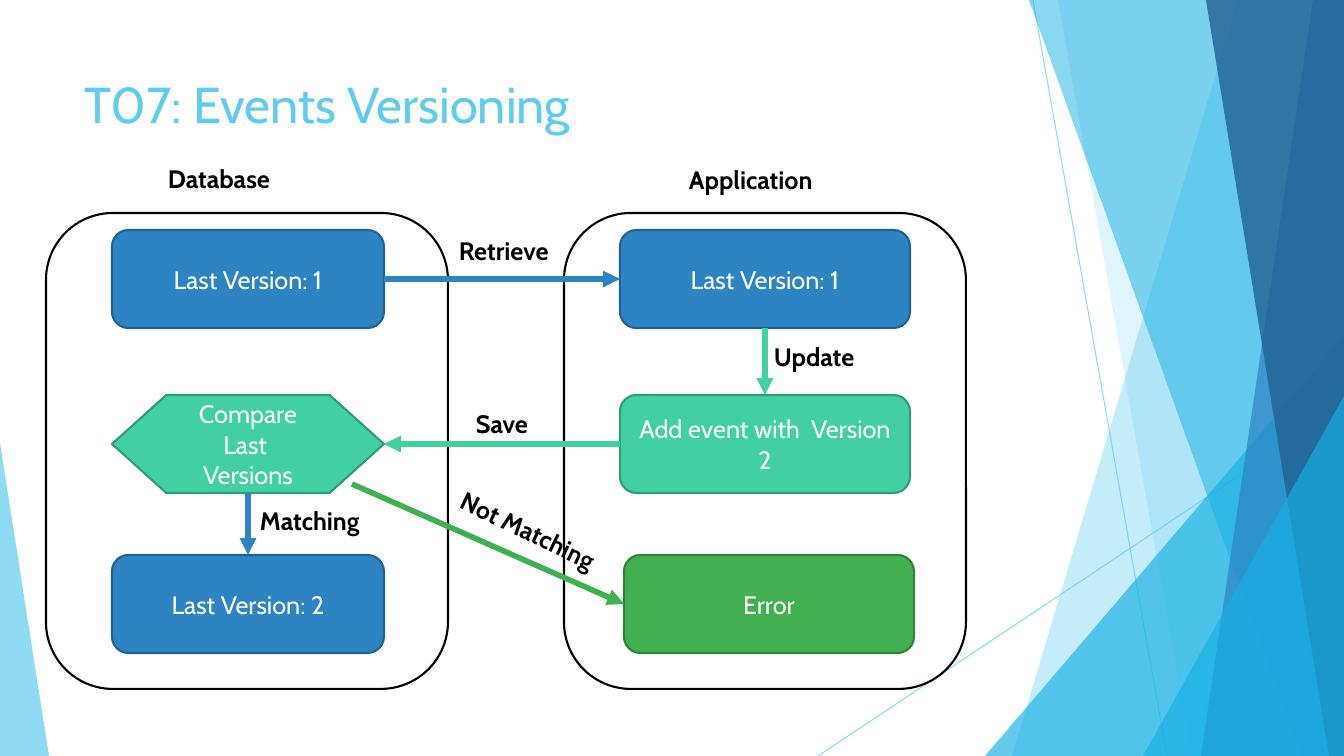
from lxml.etree import SubElement
from pptx import Presentation
from pptx.dml.color import RGBColor
from pptx.enum.shapes import MSO_CONNECTOR, MSO_SHAPE
from pptx.enum.text import MSO_ANCHOR, MSO_AUTO_SIZE, PP_ALIGN
from pptx.oxml.ns import qn
from pptx.util import Pt

# Colours
SKY = RGBColor(0x5F, 0xCB, 0xEF)
CYAN = RGBColor(0x17, 0xB0, 0xE4)
BLUE = RGBColor(0x2E, 0x83, 0xC3)
NAVY = RGBColor(0x22, 0x62, 0x92)
BLUE_EDGE = RGBColor(0x22, 0x61, 0x90)
MINT = RGBColor(0x42, 0xD0, 0xA2)
MINT_EDGE = RGBColor(0x31, 0x9A, 0x78)
GREEN = RGBColor(0x42, 0xB0, 0x51)
GREEN_EDGE = RGBColor(0x31, 0x82, 0x3C)
BLACK = RGBColor(0, 0, 0)
WHITE = RGBColor(255, 255, 255)
FONT = "Cabin"

# Content, lengths in px
WIDTH, HEIGHT = 1344, 756
TITLE = ("T07: Events Versioning", (75, 68, 948, 145))
RAYS = [((1033, 0), (1167, HEIGHT)), ((WIDTH, 406), (818, HEIGHT))]
# Bands run from a top x and a bottom x to the right edge; wedges are triangles
FACETS = [
    ("band", (1238, 1012), SKY, 36),
    ("band", (1058, 1192), SKY, 20),
    ("wedge", (985, 336, 359, 420), CYAN, 66),
    ("band", (1029, 1301), CYAN, 50),
    ("band", (1313, 1201), BLUE, 70),
    ("band", (1206, 1329), NAVY, 80),
    ("wedge", (1143, 396, 201, 360), CYAN, 66),
    ("wedge", (0, 443, 49, 313), SKY, 70),
]
LANES = [46, 564]
LANE_TOP, LANE_WIDTH, LANE_HEIGHT = 213, 402, 476
ROWS, NODE_HEIGHT = [230, 395, 555], 98
DATABASE, APPLICATION, ERROR = (112, 272), (620, 290), (624, 290)
ROUNDED, HEXAGON = MSO_SHAPE.ROUNDED_RECTANGLE, MSO_SHAPE.FLOWCHART_PREPARATION
NODES = {
    "stored": ("Last Version: 1", DATABASE, 0, ROUNDED, BLUE, BLUE_EDGE),
    "loaded": ("Last Version: 1", APPLICATION, 0, ROUNDED, BLUE, BLUE_EDGE),
    "added": ("Add event with  Version 2", APPLICATION, 1, ROUNDED, MINT, MINT_EDGE),
    "compare": ("Compare Last  Versions", DATABASE, 1, HEXAGON, MINT, MINT_EDGE),
    "error": ("Error", ERROR, 2, ROUNDED, GREEN, GREEN_EDGE),
    "saved": ("Last Version: 2", DATABASE, 2, ROUNDED, BLUE, BLUE_EDGE),
}
TOP, LEFT, BOTTOM, RIGHT = range(4)
ARROWS = [
    ("stored", RIGHT, "loaded", LEFT, BLUE),
    ("loaded", BOTTOM, "added", TOP, MINT),
    ("added", LEFT, "compare", RIGHT, MINT),
    ("compare", BOTTOM, "saved", TOP, BLUE),
    ("compare", None, "error", LEFT, GREEN),
]
MISMATCH_START = (352, 484)
LABEL_HEIGHT = 40
LABELS = [
    ("Application", 679, 159, 155, 0),
    ("Database", 158, 158, 128, 0),
    ("Retrieve", 449, 230, 122, 0),
    ("Update", 764, 336, 106, 0),
    ("Not Matching", 445, 512, 175, 25.7),
    ("Save", 466, 403, 76, 0),
    ("Matching", 250, 500, 126, 0),
]

deck = Presentation()


def px(*lengths):
    return [round(length * 914400 / 100.8) for length in lengths]


deck.slide_width, deck.slide_height = px(WIDTH, HEIGHT)
page = deck.slides.add_slide(deck.slide_layouts[6])


def set_alpha(fill_format, percent):
    color = fill_format._xPr.find(qn("a:solidFill"))[0]
    SubElement(color, qn("a:alpha"), val=str(percent * 1000))


def paint(shape, fill, edge=None):
    shape.shadow.inherit = False
    shape.fill.solid()
    shape.fill.fore_color.rgb = fill
    if edge is None:
        shape.line.fill.background()
    else:
        shape.line.color.rgb = edge
        shape.line.width = Pt(1.5)


def write(shape, text, color, size=18, bold=False, align=PP_ALIGN.LEFT, **frame_format):
    for name, value in frame_format.items():
        setattr(shape.text_frame, name, value)
    para = shape.text_frame.paragraphs[0]
    para.alignment = align
    span = para.add_run()
    span.text = text
    for name, value in {"name": FONT, "size": Pt(size), "bold": bold}.items():
        setattr(span.font, name, value)
    span.font.color.rgb = color


def add_line(start, end, color, weight):
    line = page.shapes.add_connector(MSO_CONNECTOR.STRAIGHT, *px(*start, *end))
    line.line.color.rgb = color
    line.line.width = Pt(weight)
    SubElement(line._element.spPr, qn("a:effectLst"))
    return line


# Background rays and facets
for start, end in RAYS:
    ray = add_line(start, end, SKY, 0.75)
    set_alpha(ray.line.fill, 70)

for kind, place, color, alpha in FACETS:
    if kind == "band":
        top_x, bottom_x = place
        outline = page.shapes.build_freeform(*px(top_x, 0), scale=1.0)
        corners = [(WIDTH, 0), (WIDTH, HEIGHT), (bottom_x, HEIGHT)]
        outline.add_line_segments([px(*corner) for corner in corners], close=True)
        facet = outline.convert_to_shape()
    else:
        facet = page.shapes.add_shape(MSO_SHAPE.ISOSCELES_TRIANGLE, *px(*place))
        facet.adjustments[0] = 1 if place[0] else 0
    paint(facet, color)
    set_alpha(facet.fill, alpha)

# Title
title, title_place = TITLE
write(page.shapes.add_textbox(*px(*title_place)), title, SKY, size=36, word_wrap=True)

# Lanes
for lane_left in LANES:
    lane = page.shapes.add_shape(
        ROUNDED, *px(lane_left, LANE_TOP, LANE_WIDTH, LANE_HEIGHT))
    paint(lane, WHITE, BLACK)

# Steps
steps = {}
for key, (text, (left, width), row, preset, fill, edge) in NODES.items():
    step = page.shapes.add_shape(preset, *px(left, ROWS[row], width, NODE_HEIGHT))
    paint(step, fill, edge)
    write(step, text, WHITE, align=PP_ALIGN.CENTER, word_wrap=True,
          vertical_anchor=MSO_ANCHOR.MIDDLE)
    steps[key] = step

# Arrows between steps
for source, source_side, target, target_side, color in ARROWS:
    arrow = add_line(MISMATCH_START, MISMATCH_START, color, 4)
    if source_side is not None:
        arrow.begin_connect(steps[source], source_side)
    arrow.end_connect(steps[target], target_side)
    SubElement(arrow.line._get_or_add_ln(), qn("a:tailEnd"), type="triangle")

# Labels
for text, left, top, width, angle in LABELS:
    label = page.shapes.add_textbox(*px(left, top, width, LABEL_HEIGHT))
    label.rotation = angle
    write(label, text, BLACK, bold=True, word_wrap=False,
          auto_size=MSO_AUTO_SIZE.SHAPE_TO_FIT_TEXT)

deck.save("out.pptx")
